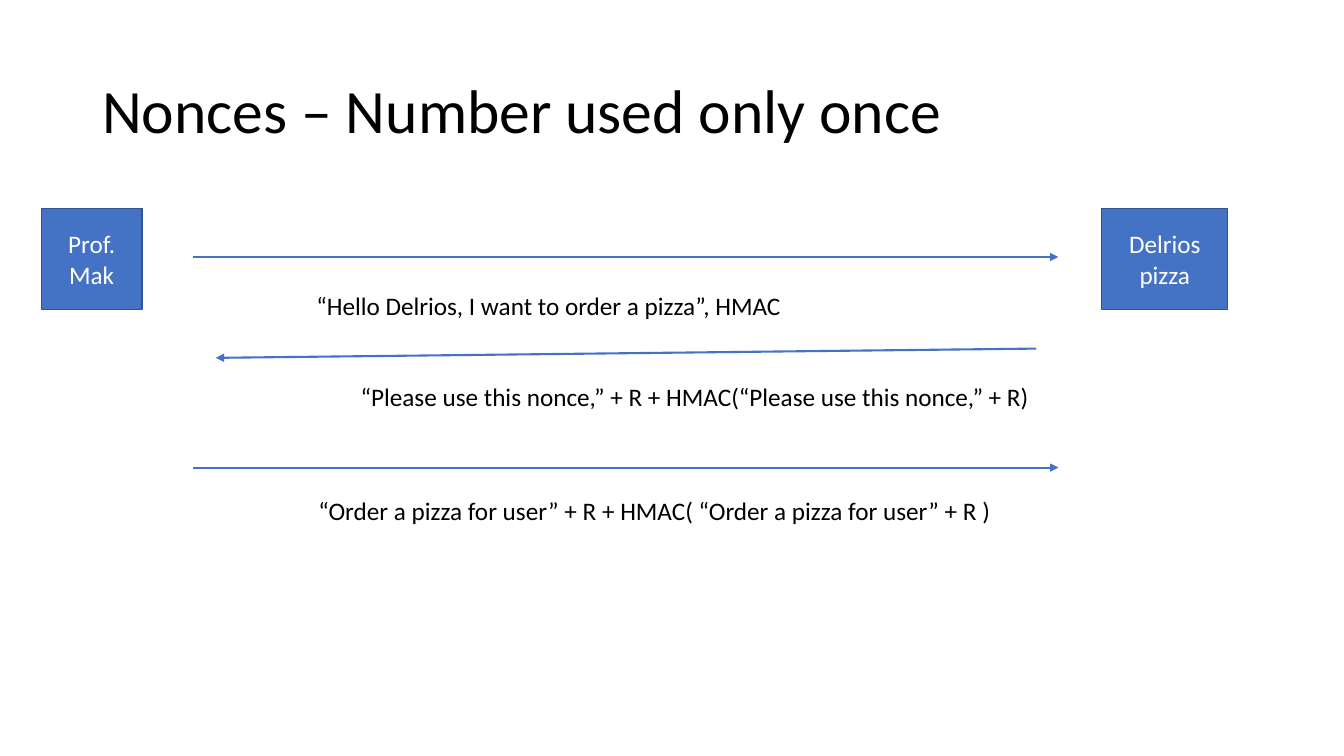
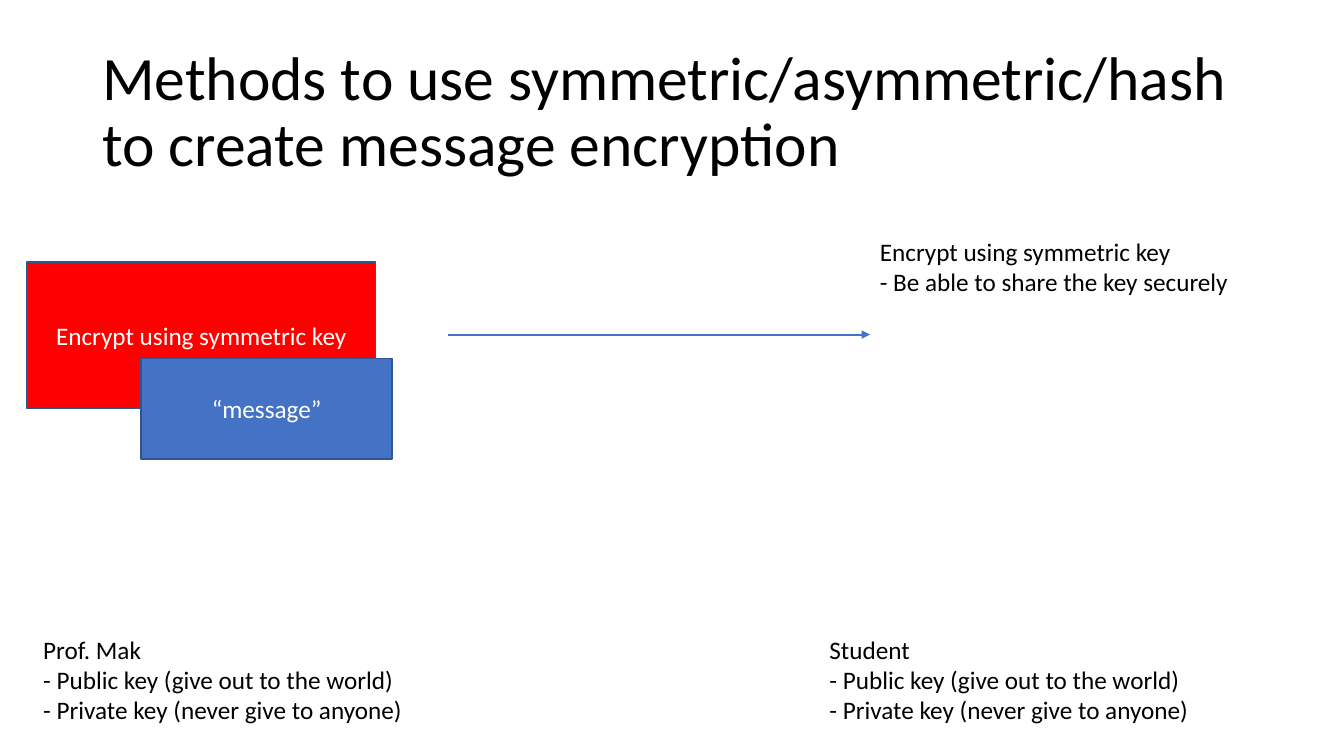
from dataclasses import dataclass

from lxml import etree
from pptx import Presentation
from pptx.dml.color import RGBColor
from pptx.enum.shapes import MSO_CONNECTOR, MSO_SHAPE
from pptx.enum.text import MSO_ANCHOR, MSO_AUTO_SIZE, PP_ALIGN
from pptx.oxml.ns import qn
from pptx.util import Pt

RECTANGLE = MSO_SHAPE.RECTANGLE
STRAIGHT = MSO_CONNECTOR.STRAIGHT
MIDDLE = MSO_ANCHOR.MIDDLE
LEFT, CENTER = PP_ALIGN.LEFT, PP_ALIGN.CENTER
FIT_SHAPE = MSO_AUTO_SIZE.SHAPE_TO_FIT_TEXT
BLANK_LAYOUT = 6


@dataclass(frozen=True)
class Theme:
    font: str = "Calibri"
    title_size: float = 44
    body_size: float = 18
    title_spacing: float = 0.9
    outline_width: float = 1
    arrow_width: float = 1.5
    text: RGBColor = RGBColor(0x00, 0x00, 0x00)
    light_text: RGBColor = RGBColor(0xFF, 0xFF, 0xFF)
    accent: RGBColor = RGBColor(0x44, 0x72, 0xC4)
    outline: RGBColor = RGBColor(0x32, 0x54, 0x91)
    cipher: RGBColor = RGBColor(0xFF, 0x00, 0x00)


THEME = Theme()
TITLE_BOX = (66, 28.8, 828, 104.4)
EXCHANGE_BOX = (29.5, 149, 847.5, 230.5)
ENCRYPTION_BOX = (19.4, 165, 868.4, 163)
KEYS_BOX = (23.8, 449.3, 833, 72.7)


def write(frame, lines, size, color, align=LEFT, spacing=None):
    for index, line in enumerate(lines):
        paragraph = frame.paragraphs[0] if index == 0 else frame.add_paragraph()
        paragraph.alignment = align
        if spacing:
            paragraph.line_spacing = spacing
        run = paragraph.add_run()
        run.text = line
        run.font.name = THEME.font
        run.font.size = Pt(size)
        run.font.color.rgb = color


def add_title(slide, text):
    shape = slide.shapes.add_textbox(*map(Pt, TITLE_BOX))
    shape.text_frame.word_wrap = True
    shape.text_frame.vertical_anchor = MIDDLE
    write(shape.text_frame, [text], THEME.title_size, THEME.text, spacing=THEME.title_spacing)


def add_label(slide, left, top, width, height, lines):
    shape = slide.shapes.add_textbox(Pt(left), Pt(top), Pt(width), Pt(height))
    shape.text_frame.word_wrap = False
    shape.text_frame.auto_size = FIT_SHAPE
    write(shape.text_frame, lines, THEME.body_size, THEME.text)


def add_block(slide, left, top, width, height, text, fill=THEME.accent):
    shape = slide.shapes.add_shape(RECTANGLE, Pt(left), Pt(top), Pt(width), Pt(height))
    shape.shadow.inherit = False
    shape.fill.solid()
    shape.fill.fore_color.rgb = fill
    shape.line.color.rgb = THEME.outline
    shape.line.width = Pt(THEME.outline_width)
    shape.text_frame.word_wrap = True
    shape.text_frame.vertical_anchor = MIDDLE
    write(shape.text_frame, [text], THEME.body_size, THEME.light_text, CENTER)


def add_arrow(slide, start_x, start_y, end_x, end_y):
    arrow = slide.shapes.add_connector(STRAIGHT, Pt(start_x), Pt(start_y), Pt(end_x), Pt(end_y))
    arrow.line.color.rgb = THEME.accent
    arrow.line.width = Pt(THEME.arrow_width)
    etree.SubElement(arrow.line._get_or_add_ln(), qn("a:tailEnd"), type="triangle")
    etree.SubElement(arrow._element.spPr, qn("a:effectLst"))


def add_exchange(slide, box, sender, receiver, messages):
    left, top, width, height = box
    block_height, sender_width, receiver_width = 72, 72, 90
    add_block(slide, left, top, sender_width, block_height, sender)
    add_block(slide, left + width - receiver_width, top, receiver_width, block_height, receiver)
    for arrow, label, text in messages:
        start_x, start_y, end_x, end_y = arrow
        label_left, label_top, label_width = label
        add_arrow(slide, left + start_x, top + start_y, left + end_x, top + end_y)
        add_label(slide, left + label_left, top + label_top, label_width, 29, [text])


def add_encryption(slide, box, method, message, notes):
    left, top, width, height = box
    message_height, notes_width = 72, 266.4
    notes_left = left + width - notes_width
    arrow_y = top + 74
    add_block(slide, left, top + 22.2, 249, 104.4, method, THEME.cipher)
    add_block(slide, left + 81.4, top + height - message_height, 179.3, message_height, message)
    add_arrow(slide, left + 300.3, arrow_y, notes_left, arrow_y)
    add_label(slide, notes_left, top, notes_width, 51, notes)


def add_key_owners(slide, box, owners, keys):
    left, top, width, height = box
    label_width = 271.4
    step = (width - label_width) / (len(owners) - 1)
    for index, owner in enumerate(owners):
        add_label(slide, left + index * step, top, label_width, height, [owner, *keys])


def add_slide(presentation, title):
    slide = presentation.slides.add_slide(presentation.slide_layouts[BLANK_LAYOUT])
    add_title(slide, title)
    return slide


def build_nonces(presentation):
    slide = add_slide(presentation, "Nonces – Number used only once")
    request_start, request_end = 108.7, 726.5
    messages = [
        ((request_start, 34.6, request_end, 34.6), (189.4, 54.8, 364.3),
         "“Hello Delrios, I want to order a pizza”, HMAC"),
        ((710.7, 100, 124.6, 106.6), (221, 119.6, 497.5),
         "“Please use this nonce,” + R + HMAC(“Please use this nonce,” + R)"),
        ((request_start, 185, request_end, 185), (190.8, 201.6, 496),
         "“Order a pizza for user” + R + HMAC( “Order a pizza for user” + R )"),
    ]
    add_exchange(slide, EXCHANGE_BOX, "Prof. Mak", "Delrios pizza", messages)


def build_methods(presentation):
    slide = add_slide(
        presentation, "Methods to use symmetric/asymmetric/hash to create message encryption")
    method = "Encrypt using symmetric key"
    add_encryption(slide, ENCRYPTION_BOX, method, "“message”",
                   [method, "- Be able to share the key securely"])
    add_key_owners(slide, KEYS_BOX, ["Prof. Mak", "Student"],
                   ["- Public key (give out to the world)", "- Private key (never give to anyone)"])


def main():
    presentation = Presentation()
    presentation.slide_width = Pt(960)
    presentation.slide_height = Pt(540)
    build_nonces(presentation)
    build_methods(presentation)
    presentation.save("out.pptx")


if __name__ == "__main__":
    main()
